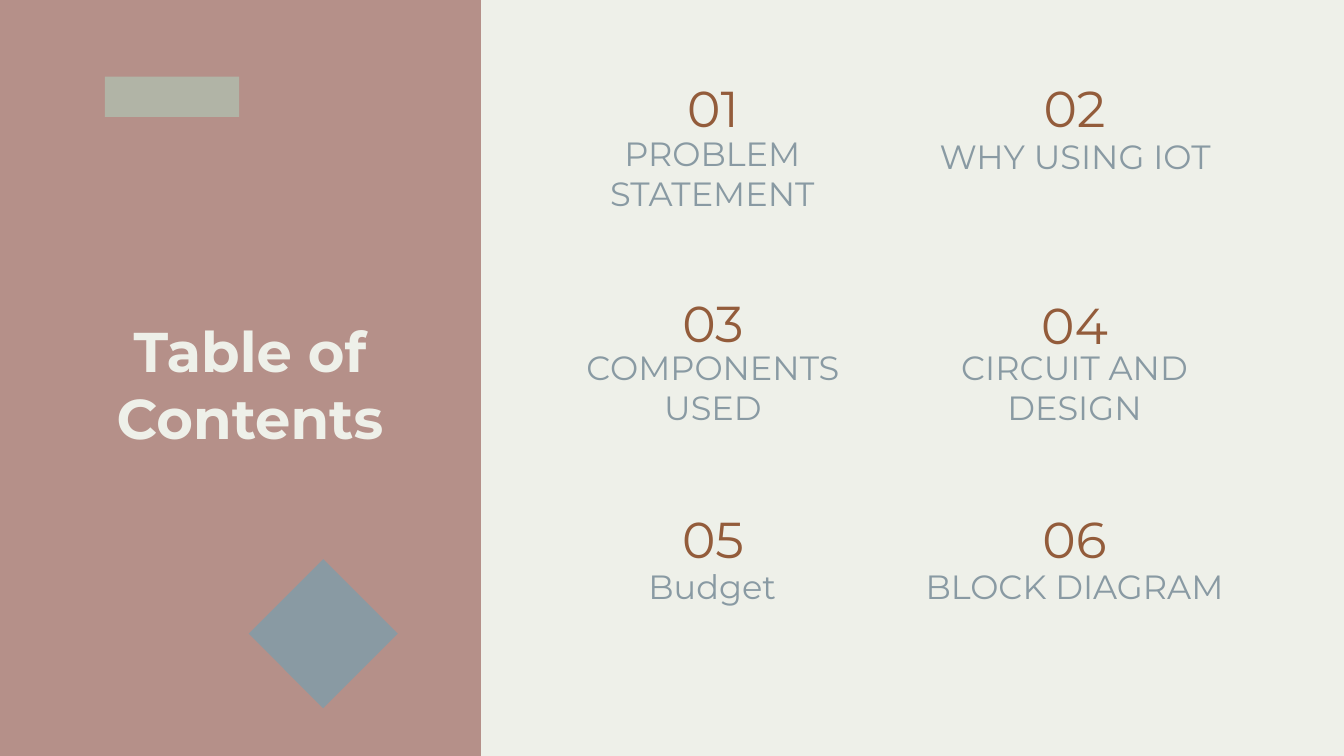
from typing import NamedTuple

from pptx import Presentation
from pptx.dml.color import RGBColor
from pptx.enum.shapes import MSO_SHAPE as Preset
from pptx.enum.text import MSO_ANCHOR as Anchor, MSO_AUTO_SIZE as AutoSize, PP_ALIGN as Align
from pptx.util import Inches, Pt

FONT = "Montserrat"
ROSE, CREAM, SAGE, SLATE, BROWN = "B59089", "EEF0E9", "B1B4A6", "899AA3", "935C3B"
PAGE_WIDTH = 10
PAGE_HEIGHT = PAGE_WIDTH * 9 / 16
NUMBER_WIDTH, NUMBER_HEIGHT = 1.39, 0.45


class Area(NamedTuple):
    left: float
    top: float
    width: float
    height: float


class Topic(NamedTuple):
    caption: str
    number_top: float
    area: Area


# Column positions of the numbers; topics fill the grid row by row
NUMBER_LEFTS = (4.61, 7.3)
TOPICS = [
    Topic("PROBLEM STATEMENT", 0.57, Area(4.15, 1.03, 2.3, 0.56)),
    Topic("WHY USING IOT", 0.57, Area(6.65, 1.03, 2.7, 0.28)),
    Topic("COMPONENTS USED", 2.17, Area(3.99, 2.91, 2.63, 0.27)),
    Topic("CIRCUIT AND DESIGN", 2.19, Area(6.81, 2.91, 2.37, 0.27)),
    Topic("Budget", 3.78, Area(3.95, 4.23, 2.7, 0.28)),
    Topic("BLOCK DIAGRAM", 3.78, Area(6.65, 4.23, 2.69, 0.28)),
]


def paint(fill, color: str) -> None:
    fill.solid()
    fill.fore_color.rgb = RGBColor.from_string(color)


def add_block(page, preset: Preset, area: Area, color: str) -> None:
    block = page.shapes.add_shape(preset, *map(Inches, area))
    block.shadow.inherit = False
    paint(block.fill, color)
    block.line.fill.background()


def write(box, text: str, size: float, color: str, anchor: Anchor = Anchor.MIDDLE,
          inset: float = 0.1, bold: bool = False) -> None:
    frame = box.text_frame
    frame.text = text
    frame.word_wrap = True
    frame.auto_size = AutoSize.NONE
    frame.vertical_anchor = anchor
    frame.margin_left = frame.margin_right = Inches(0.1)
    frame.margin_top = frame.margin_bottom = Inches(inset)
    para = frame.paragraphs[0]
    para.alignment = Align.CENTER
    para.font.name = FONT
    para.font.size = Pt(size)
    para.font.bold = bold
    para.font.color.rgb = RGBColor.from_string(color)


def add_topic(page, index: int, topic: Topic) -> None:
    number_area = Area(NUMBER_LEFTS[index % 2], topic.number_top, NUMBER_WIDTH, NUMBER_HEIGHT)
    number = page.shapes.add_textbox(*map(Inches, number_area))
    write(number, f"{index + 1:02}", 27, BROWN)
    caption = page.shapes.add_textbox(*map(Inches, topic.area))
    write(caption, topic.caption, 18, SLATE, Anchor.BOTTOM, inset=0)


def main() -> None:
    deck = Presentation()
    deck.slide_width, deck.slide_height = Inches(PAGE_WIDTH), Inches(PAGE_HEIGHT)
    page = deck.slides.add_slide(deck.slide_layouts[5])

    # Background and content panel
    paint(page.background.fill, ROSE)
    add_block(page, Preset.RECTANGLE, Area(3.58, 0, 6.43, PAGE_HEIGHT), CREAM)

    # Title
    title = page.shapes.title
    title.left, title.top, title.width, title.height = map(Inches, (0.28, 2.03, 3.16, 1.65))
    write(title, "Table of Contents", 30, CREAM, bold=True)

    # Numbered topics
    for index, topic in enumerate(TOPICS):
        add_topic(page, index, topic)

    # Ornaments
    add_block(page, Preset.RECTANGLE, Area(0.78, 0.57, 1, 0.3), SAGE)
    add_block(page, Preset.DIAMOND, Area(1.85, 4.16, 1.11, 1.11), SLATE)

    deck.save("out.pptx")


if __name__ == "__main__":
    main()
